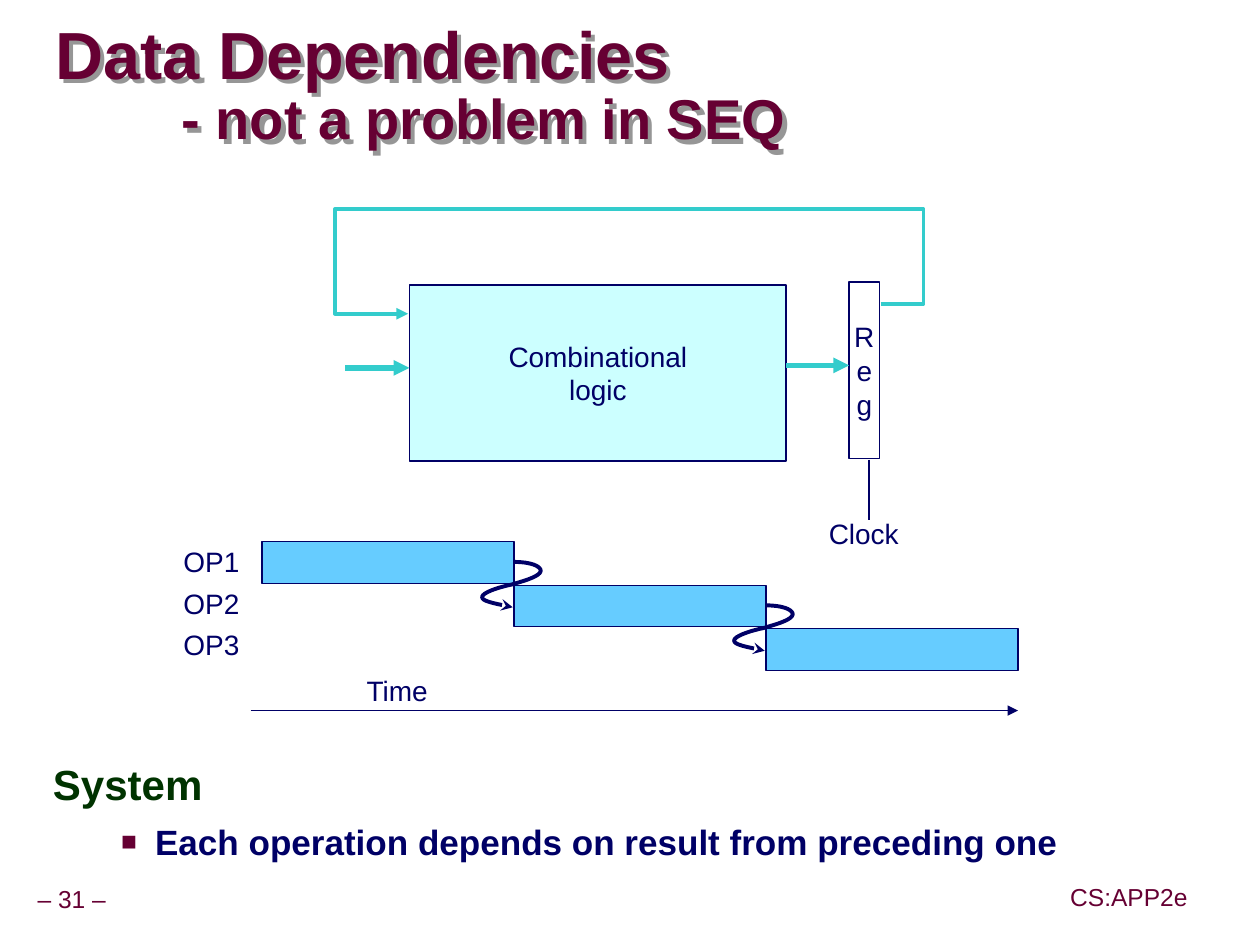
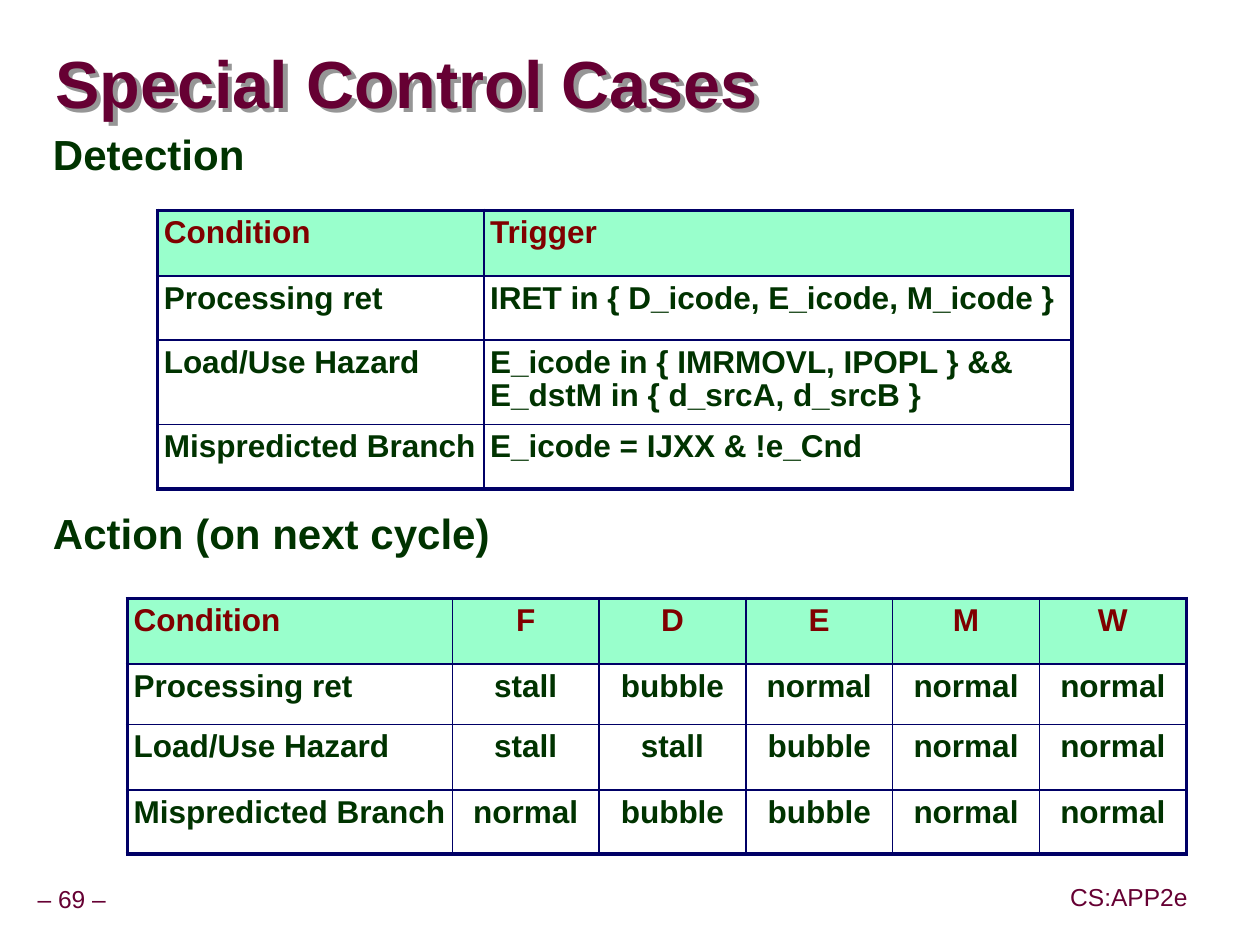
from dataclasses import dataclass

from lxml.etree import SubElement
from pptx import Presentation
from pptx.dml.color import RGBColor as RGB
from pptx.enum.shapes import MSO_CONNECTOR as CONNECTOR, MSO_SHAPE as SHAPE
from pptx.enum.text import MSO_ANCHOR as ANCHOR, MSO_AUTO_SIZE as AUTO_SIZE, PP_ALIGN as ALIGN
from pptx.oxml.ns import qn
from pptx.util import Inches, Pt


@dataclass(frozen=True)
class Theme:
    font: str = "Arial"
    maroon: str = "660033"
    green: str = "003300"
    navy: str = "000066"
    teal: str = "33CCCC"
    header_text: str = "800000"
    header_fill: str = "99FFCC"
    logic_fill: str = "CCFFFF"
    bar_fill: str = "66CCFF"
    white: str = "FFFFFF"
    shadow: str = "969696"
    title: int = 38
    subtitle: int = 32
    heading: int = 24
    bullet: int = 20
    cell: int = 18
    label: int = 16
    footer: int = 14


theme = Theme()
presentation = Presentation()
presentation.slide_width = Inches(9.99)
presentation.slide_height = Inches(7.49)
column = presentation.slide_width / 100
row = presentation.slide_height / 75


def place(x, y, width, height):
    return round(x * column), round(y * row), round(width * column), round(height * row)


def write(paragraph, text, size, color, align=ALIGN.LEFT, bold=False, spacing=1.0):
    paragraph.text = text
    paragraph.alignment = align
    paragraph.line_spacing = spacing
    paragraph.space_before = Pt(0)
    paragraph.font.name = theme.font
    paragraph.font.size = Pt(size)
    paragraph.font.bold = bold
    paragraph.font.color.rgb = RGB.from_string(color)


pages = [
    (31, "Data Dependencies", "\t- not a problem in SEQ", (3.2, 60, 90.7, 10.3),
     [("System", 0, 0), ("Each operation depends on result from preceding one", 1, 6)]),
    (69, "Special Control Cases", "", (3.2, 10, 90.7, 60.3),
     [("Detection", 0, 0), ("Action (on next cycle)", 0, 189)]),
]
for number, heading, subheading, body_place, items in pages:
    slide = presentation.slides.add_slide(presentation.slide_layouts[1])
    title, body = slide.placeholders
    title.left, title.top, title.width, title.height = place(4.4, 2.7, 95.2, 8.5)
    body.left, body.top, body.width, body.height = place(*body_place)

    frame = title.text_frame
    frame.auto_size = AUTO_SIZE.NONE
    frame.vertical_anchor = ANCHOR.MIDDLE
    frame.margin_left = frame.margin_right = frame.margin_top = frame.margin_bottom = 0
    paragraph = frame.paragraphs[0]
    tabs = SubElement(paragraph._p.get_or_add_pPr(), qn("a:tabLst"))
    SubElement(tabs, qn("a:tab"), pos=str(Inches(1)), algn="l")
    write(paragraph, heading, theme.title, theme.maroon, bold=True, spacing=0.87)
    if subheading:
        paragraph.add_line_break()
        run = paragraph.add_run()
        run.text = subheading
        run.font.size = Pt(theme.subtitle)
    title.fill.background()
    effects = SubElement(title._element.spPr, qn("a:effectLst"))
    shadow = SubElement(effects, qn("a:outerShdw"), dist="45000", dir="2700000", algn="ctr", rotWithShape="0")
    SubElement(shadow, qn("a:srgbClr"), val=theme.shadow)

    frame = body.text_frame
    frame.auto_size = AUTO_SIZE.NONE
    for index, (text, level, space) in enumerate(items):
        paragraph = frame.add_paragraph() if index else frame.paragraphs[0]
        paragraph.level = level
        properties = paragraph._p.get_or_add_pPr()
        if level:
            properties.set("marL", str(Inches(0.81)))
            properties.set("indent", str(Inches(-0.27)))
            bullet_color = SubElement(properties, qn("a:buClr"))
            SubElement(bullet_color, qn("a:srgbClr"), val=theme.maroon)
            SubElement(properties, qn("a:buSzPct"), val="75000")
            SubElement(properties, qn("a:buFont"), typeface=theme.font)
            SubElement(properties, qn("a:buChar"), char="■")
            write(paragraph, text, theme.bullet, theme.navy, bold=True)
        else:
            properties.set("marL", "0")
            properties.set("indent", "0")
            SubElement(properties, qn("a:buNone"))
            write(paragraph, text, theme.heading, theme.green, bold=True, spacing=0.95)
        paragraph.space_before = Pt(space)

    for text, x, y, width in [(f"– {number} –", 2.4, 69.9, 6.6), ("CS:APP2e", 84.4, 69.8, 10.4)]:
        frame = slide.shapes.add_textbox(*place(x, y, width, 3.1)).text_frame
        frame.vertical_anchor = ANCHOR.MIDDLE
        frame.word_wrap = False
        frame.margin_left = frame.margin_right = frame.margin_top = frame.margin_bottom = Inches(0.05)
        write(frame.paragraphs[0], text, theme.footer, theme.maroon, ALIGN.CENTER, spacing=0.9)

dependencies, control = presentation.slides

bar_left, bar_top, bar_width, bar_height, bar_step = 20.8, 43, 20, 3.3, 3.45
bars = [(bar_left + i * bar_width, bar_top + i * bar_step) for i in range(3)]
blocks = [
    (["Combinational", "logic"], (32.5, 22.6, 29.9, 14), theme.logic_fill, 1),
    (["R", "e", "g"], (67.4, 22.4, 2.4, 14), theme.white, 1),
] + [([], (x, y, bar_width, bar_height), theme.bar_fill, 0.75) for x, y in bars]
labels = [
    (["Clock"], (64.8, 40.5, 7.5, 3.6), ALIGN.CENTER),
    (["Time"], (29.1, 53, 6, 3.6), ALIGN.LEFT),
] + [([f"OP{i + 1}"], (10.8, 42.9 + 3.3 * i, 8.2, 3.3), ALIGN.RIGHT) for i in range(3)]

texts = []
for lines, area, fill, weight in blocks:
    shape = dependencies.shapes.add_shape(SHAPE.RECTANGLE, *place(*area))
    shape.shadow.inherit = False
    shape.fill.solid()
    shape.fill.fore_color.rgb = RGB.from_string(fill)
    shape.line.color.rgb = RGB.from_string(theme.navy)
    shape.line.width = Pt(weight)
    texts.append((shape, lines, ALIGN.CENTER))
for lines, area, align in labels:
    texts.append((dependencies.shapes.add_textbox(*place(*area)), lines, align))
for shape, lines, align in texts:
    frame = shape.text_frame
    frame.word_wrap = True
    frame.vertical_anchor = ANCHOR.MIDDLE
    frame.margin_left = frame.margin_right = frame.margin_top = frame.margin_bottom = 0
    for index, text in enumerate(lines):
        paragraph = frame.add_paragraph() if index else frame.paragraphs[0]
        write(paragraph, text, theme.label, theme.navy, align)

handoff_curves = [
    [(0, 0), (1, 0), (1.9, 0.2), (2.1, 0.6)],
    [(2.1, 0.6), (2.3, 1.1), (0.8, 1.5), (-0.2, 1.8)],
    [(-0.2, 1.8), (-1.2, 2), (-2.8, 2.5), (-2.5, 2.9)],
    [(-2.5, 2.9), (-2.3, 3.2), (-1, 3.4), (-0.1, 3.6)],
]
curve_points = [(0, 0)]
for curve in handoff_curves:
    for step in range(1, 11):
        t = step / 10
        weights = ((1 - t) ** 3, 3 * t * (1 - t) ** 2, 3 * t * t * (1 - t), t ** 3)
        curve_points.append(tuple(sum(w * p[axis] for w, p in zip(weights, curve)) for axis in (0, 1)))

feedback = [(69.9, 24.1), (73.3, 24.1), (73.3, 16.6), (26.6, 16.6), (26.6, 24.9), (32.4, 24.9)]
outlines = [(feedback, theme.teal, "triangle")]
for x, y in bars[:2]:
    handoff = [(x + bar_width + dx, y + 1.6 + dy) for dx, dy in curve_points]
    outlines.append((handoff, theme.navy, "stealth"))

strokes = []
for points, color, head in outlines:
    corners = [place(x, y, 0, 0)[:2] for x, y in points]
    builder = dependencies.shapes.build_freeform(*corners[0])
    builder.add_line_segments(corners[1:], close=False)
    shape = builder.convert_to_shape()
    shape.fill.background()
    strokes.append((shape, color, 2.25, head))
for start, end, color, weight, head in [
    ((27.4, 29.2), (32.5, 29.2), theme.teal, 3, "triangle"),
    ((62.4, 29), (67.4, 29), theme.teal, 3, "triangle"),
    ((69, 36.5), (69, 41.3), theme.navy, 1, "none"),
    ((19.9, 56.4), (80.8, 56.4), theme.navy, 1, "triangle"),
]:
    connector = dependencies.shapes.add_connector(CONNECTOR.STRAIGHT, *place(*start, *end))
    strokes.append((connector, color, weight, head))
for shape, color, weight, head in strokes:
    shape.line.color.rgb = RGB.from_string(color)
    shape.line.width = Pt(weight)
    properties = shape._element.spPr
    SubElement(properties.find(qn("a:ln")), qn("a:tailEnd"), type=head)
    SubElement(properties, qn("a:effectLst"))

conditions = ["Condition", "Processing ret", "Load/Use Hazard", "Mispredicted Branch"]
triggers = [
    ["Trigger"],
    ["IRET in { D_icode, E_icode, M_icode }"],
    ["E_icode in { IMRMOVL, IPOPL } && E_dstM in { d_srcA, d_srcB }"],
    ["E_icode = IJXX & !e_Cnd"],
]
actions = [
    ["F", "D", "E", "M", "W"],
    ["stall", "bubble", "normal", "normal", "normal"],
    ["stall", "stall", "bubble", "normal", "normal"],
    ["normal", "bubble", "bubble", "normal", "normal"],
]
for x, y, widths, heights, entries, align in [
    (12.5, 16.7, [25.9, 46.7], [5.2, 5.1, 6.3, 5.1], triggers, ALIGN.LEFT),
    (10.1, 47.5, [25.8] + [11.65] * 5, [5.2, 4.8, 5.2, 5.1], actions, ALIGN.CENTER),
]:
    area = place(x, y, sum(widths), sum(heights))
    table = control.shapes.add_table(len(heights), len(widths), *area).table
    table.first_row = table.horz_banding = False
    for index, width in enumerate(widths):
        table.columns[index].width = round(width * column)
    last_row, last_column = len(heights) - 1, len(widths) - 1
    for r, height in enumerate(heights):
        table.rows[r].height = round(height * row)
        for c, text in enumerate([conditions[r]] + entries[r]):
            cell = table.cell(r, c)
            cell.margin_left = cell.margin_right = cell.margin_top = cell.margin_bottom = Inches(0.05)
            cell.fill.solid()
            cell.fill.fore_color.rgb = RGB.from_string(theme.white if r else theme.header_fill)
            write(cell.text_frame.paragraphs[0], text, theme.cell, theme.green if r else theme.header_text,
                  align if c else ALIGN.LEFT, True, 0.95)
            outer_edges = [("L", c == 0), ("R", c == last_column), ("T", r == 0), ("B", r == last_row)]
            properties = cell._tc.get_or_add_tcPr()
            for position, (side, outer) in enumerate(outer_edges):
                border = SubElement(properties, qn(f"a:ln{side}"), w=str(Pt(2.25 if outer else 1)))
                SubElement(SubElement(border, qn("a:solidFill")), qn("a:srgbClr"), val=theme.navy)
                properties.insert(position, border)

presentation.save("out.pptx")
